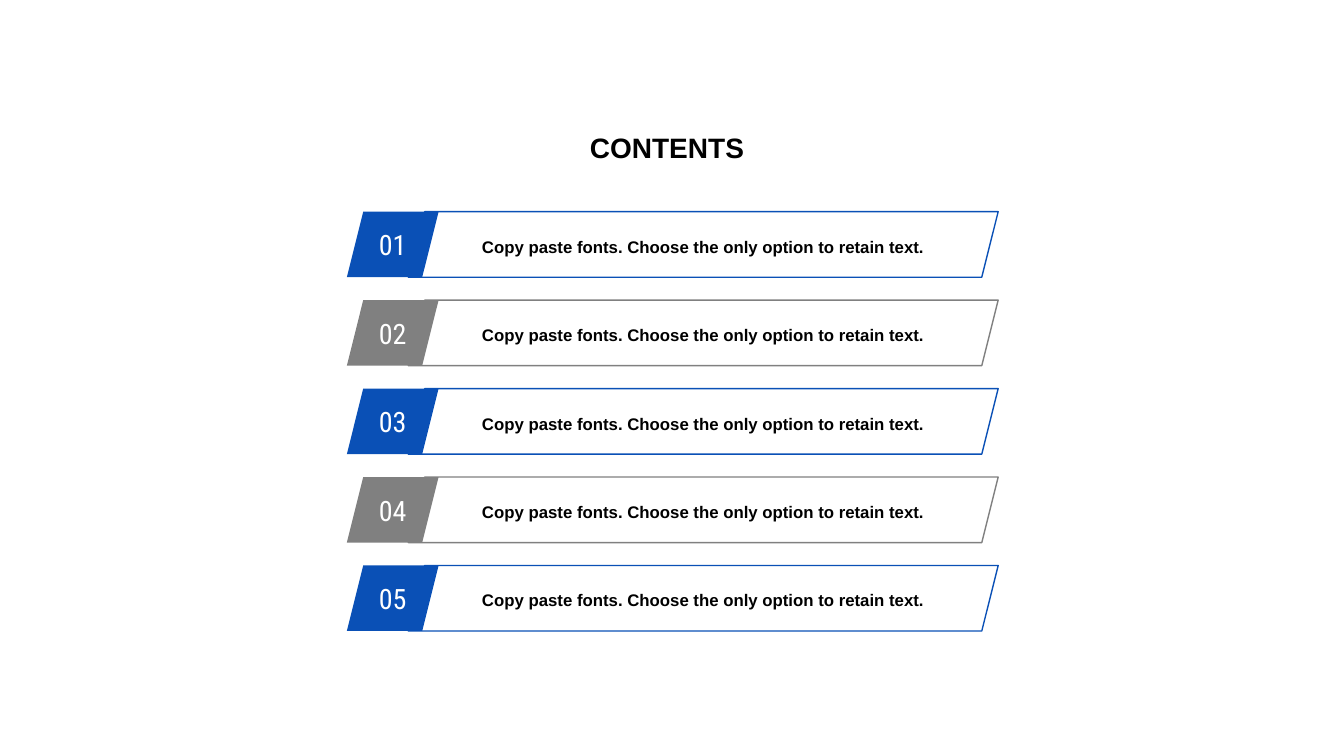
from dataclasses import dataclass

from pptx import Presentation
from pptx.dml.color import RGBColor
from pptx.enum.shapes import MSO_SHAPE
from pptx.enum.text import MSO_ANCHOR, MSO_AUTO_SIZE, PP_ALIGN
from pptx.util import Pt

EMU_PER_PX = 9144  # 100 px to the inch


@dataclass(frozen=True)
class Theme:
    blue: RGBColor = RGBColor(0x0A, 0x50, 0xB6)
    grey: RGBColor = RGBColor(0x80, 0x80, 0x80)
    black: RGBColor = RGBColor(0, 0, 0)
    white: RGBColor = RGBColor(0xFF, 0xFF, 0xFF)
    body_font: str = "Arial"
    number_font: str = "Roboto Condensed"
    large: int = 20
    small: int = 12
    outline: int = 1


THEME = Theme()
ENTRIES = ["Copy paste fonts. Choose the only option to retain text."] * 5


def px(length):
    return round(length * EMU_PER_PX)


def write_text(shape, text, font, size, color, bold=False, spacing=1.0):
    frame = shape.text_frame
    frame.auto_size = MSO_AUTO_SIZE.NONE
    frame.word_wrap = True
    frame.vertical_anchor = MSO_ANCHOR.MIDDLE
    frame.margin_left = frame.margin_right = 0
    frame.margin_top = frame.margin_bottom = 0
    para = frame.paragraphs[0]
    para.alignment = PP_ALIGN.CENTER
    para.line_spacing = spacing
    span = para.add_run()
    span.text = text
    span.font.name = font
    span.font.size = Pt(size)
    span.font.bold = bold
    span.font.color.rgb = color


def add_parallelogram(page, box):
    shape = page.shapes.add_shape(MSO_SHAPE.PARALLELOGRAM, *map(px, box))
    shape.shadow.inherit = False
    return shape


def place_title(page, box, text):
    title = page.shapes.title
    title.left, title.top, title.width, title.height = map(px, box)
    write_text(title, text, THEME.body_font, THEME.large, THEME.black, bold=True)


def add_entry(page, box, number, text, color):
    left, top, width, height = box

    # Number badge
    badge = add_parallelogram(page, (left, top, 91, height))
    badge.fill.solid()
    badge.fill.fore_color.rgb = color
    badge.line.fill.background()
    write_text(badge, f"{number:02d}", THEME.number_font, THEME.large, THEME.white)

    # Outlined bar, starting behind the badge's right edge
    indent = 61
    bar = add_parallelogram(page, (left + indent, top, width - indent, height))
    bar.fill.background()
    bar.line.color.rgb = color
    bar.line.width = Pt(THEME.outline)
    write_text(bar, text, THEME.body_font, THEME.small, THEME.black,
               bold=True, spacing=1.2)


def add_entries(page, box, entries):
    left, top, width, height = box
    row_height = 65
    pitch = (height - row_height) / (len(entries) - 1)
    for index, text in enumerate(entries):
        color = THEME.grey if index % 2 else THEME.blue
        row = (left, top + index * pitch, width, row_height)
        add_entry(page, row, index + 1, text, color)


def main():
    deck = Presentation()
    deck.slide_width, deck.slide_height = px(1333), px(750)
    page = deck.slides.add_slide(deck.slide_layouts[5])
    place_title(page, (553, 123, 217, 46), "CONTENTS")
    add_entries(page, (344, 210, 646, 416), ENTRIES)
    deck.save("out.pptx")


if __name__ == "__main__":
    main()
